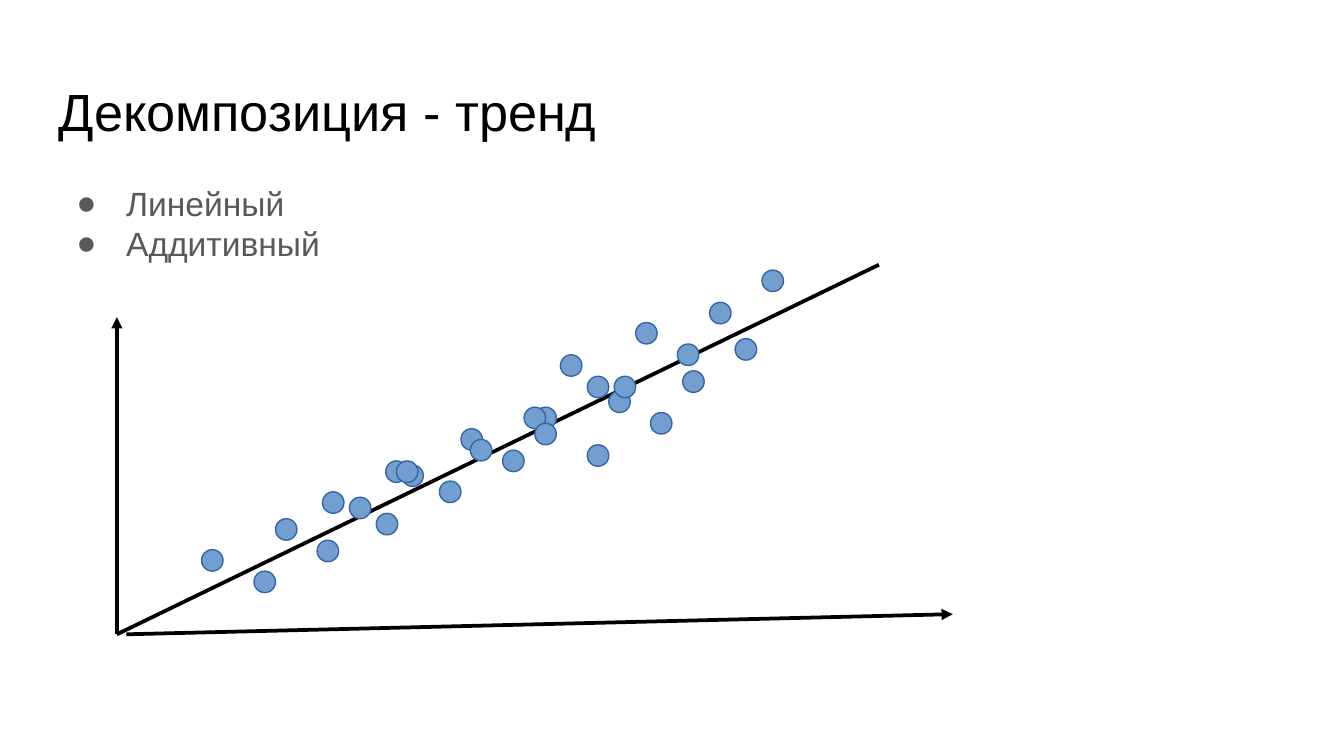
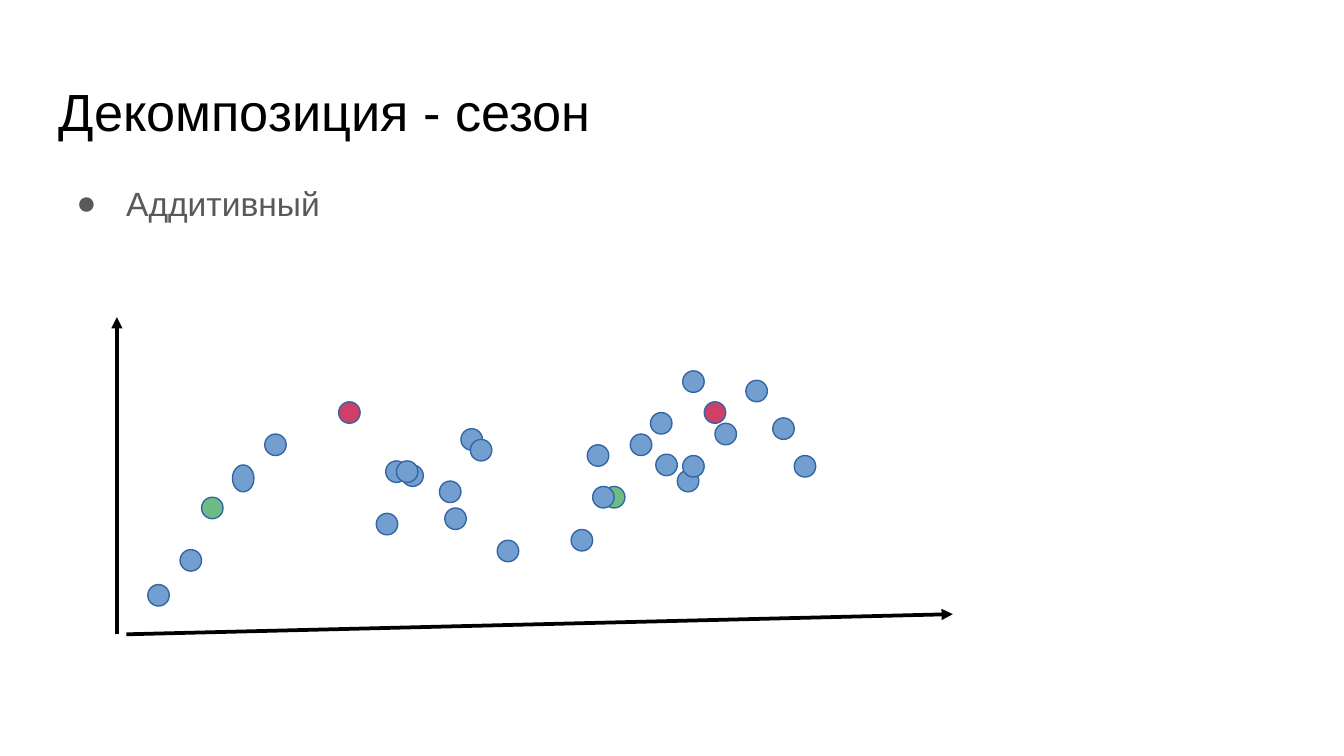
from lxml import etree
from pptx import Presentation
from pptx.dml.color import RGBColor
from pptx.enum.shapes import MSO_CONNECTOR, MSO_SHAPE
from pptx.oxml.ns import qn
from pptx.util import Inches, Pt

COLORS = {
    "title": "000000", "body": "595959", "axis": "000000", "outline": "3465A4",
    "blue": "729FCF", "green": "6EBC85", "red": "CF4069",
}
FONT = "Arial"
HAIRLINE = Pt(0)
DOT = 0.16
PLOT = (0.87, 1.97)
TITLE_BOX = (0.34, 0.49, 9.32, 0.63)
BODY_BOX = (0.34, 1.26, 9.32, 3.74)

TREND_DOTS = [
    (1.5, 4.09), (2.05, 3.86), (2.99, 3.46), (1.89, 4.25), (2.36, 4.02),
    (2.6, 3.7), (2.87, 3.43), (3.43, 3.19), (4.37, 2.8), (3.74, 3.35),
    (3.98, 3.03), (2.4, 3.66), (2.95, 3.43), (3.9, 3.03), (2.8, 3.82),
    (3.27, 3.58), (3.5, 3.27), (3.98, 3.15), (4.53, 2.91), (5.47, 2.52),
    (4.37, 3.31), (4.84, 3.07), (5.08, 2.76), (4.17, 2.64), (4.73, 2.4),
    (5.67, 2.01), (4.57, 2.8), (5.04, 2.56), (5.28, 2.25),
]
SEASON_DOTS = [
    (1.97, 3.23), (1.34, 4.09), (2.99, 3.46), (1.1, 4.35), (1.5, 3.7, "green"),
    (2.52, 2.99, "red"), (2.87, 3.43), (3.43, 3.19), (4.88, 3.38), (3.27, 3.58),
    (3.7, 4.02), (4.49, 3.62, "green"), (1.73, 3.46, "blue", 0.2), (2.95, 3.43),
    (4.41, 3.62), (2.8, 3.82), (3.31, 3.78), (3.5, 3.27), (4.25, 3.94),
    (5.04, 3.5), (5.75, 3.11), (4.37, 3.31), (4.84, 3.07), (5.08, 2.76),
    (4.69, 3.23), (5.24, 2.99, "red"), (5.91, 3.39), (5.08, 3.39),
    (5.32, 3.15), (5.55, 2.83),
]


def rgb(name):
    return RGBColor.from_string(COLORS[name])


def add_text(s, box, lines, size, color):
    tf = s.shapes.add_textbox(*map(Inches, box)).text_frame
    tf.word_wrap = True
    tf.margin_left = tf.margin_right = Inches(0.1)
    tf.margin_top = tf.margin_bottom = Inches(0.1)
    for i, line in enumerate(lines):
        p = tf.paragraphs[0] if i == 0 else tf.add_paragraph()
        p.text = line
        p.font.name, p.font.size = FONT, Pt(size)
        p.font.color.rgb = rgb(color)
    return tf


def add_bullets(s, box, lines, space_before):
    tf = add_text(s, box, lines, 18, "body")
    if space_before:
        tf.paragraphs[0].space_before = Pt(space_before)
    for p in tf.paragraphs:
        pPr = p._p.get_or_add_pPr()
        pPr.set("marL", str(Inches(0.5)))
        pPr.set("indent", str(Inches(-0.37)))
        bullet_color = etree.Element(qn("a:buClr"))
        etree.SubElement(bullet_color, qn("a:srgbClr"), val=COLORS["body"])
        bullet_font = etree.Element(qn("a:buFont"), typeface=FONT)
        bullet = etree.Element(qn("a:buChar"), char="●")
        defaults = pPr.find(qn("a:defRPr"))
        for part in (bullet_color, bullet_font, bullet):
            defaults.addprevious(part)


def add_line(s, box, start, end, arrow=False):
    x, y = box
    ends = [Inches(v) for v in (x + start[0], y + start[1], x + end[0], y + end[1])]
    line = s.shapes.add_connector(MSO_CONNECTOR.STRAIGHT, *ends)
    line.line.color.rgb = rgb("axis")
    line.line.width = HAIRLINE
    if arrow:
        etree.SubElement(line.line._get_or_add_ln(), qn("a:tailEnd"), type="triangle")
    etree.SubElement(line._element.spPr, qn("a:effectLst"))


def add_dot(s, x, y, color="blue", height=DOT):
    dot = s.shapes.add_shape(MSO_SHAPE.OVAL, *map(Inches, (x, y, DOT, height)))
    dot.shadow.inherit = False
    dot.fill.solid()
    dot.fill.fore_color.rgb = rgb(color)
    dot.line.color.rgb = rgb("outline")
    dot.line.width = HAIRLINE


def add_scatter(s, box, dots, trend):
    if trend:
        add_line(s, box, (0, 2.75), (5.67, 0))
    add_line(s, box, (0, 2.75), (0, 0.39), arrow=True)
    add_line(s, box, (0.07, 2.75), (6.22, 2.6), arrow=True)
    for x, y, *style in dots:
        add_dot(s, box[0] + x - PLOT[0], box[1] + y - PLOT[1], *style)


def add_slide(prs, title, bullets, dots, trend=False, space_before=0):
    s = prs.slides.add_slide(prs.slide_layouts[6])
    add_text(s, TITLE_BOX, [title], 28, "title")
    add_bullets(s, BODY_BOX, bullets, space_before)
    add_scatter(s, PLOT, dots, trend)


prs = Presentation()
prs.slide_width = Inches(10)
prs.slide_height = prs.slide_width * 9 // 16
add_slide(prs, "Декомпозиция - тренд", ["Линейный", "Аддитивный"], TREND_DOTS, trend=True)
add_slide(prs, "Декомпозиция - сезон", ["Аддитивный"], SEASON_DOTS, space_before=21.5)
prs.save("out.pptx")
